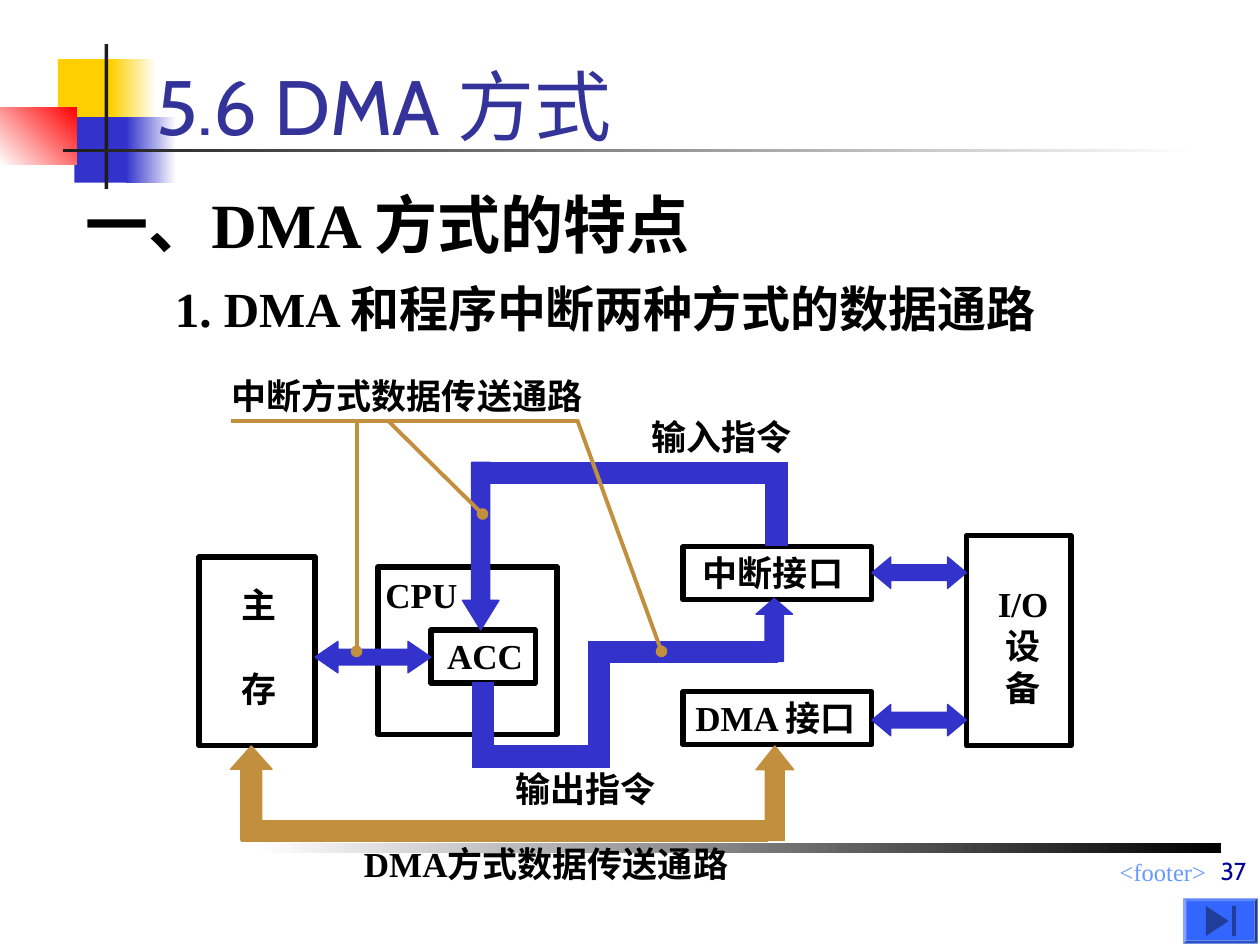
"""Build the slide on the data paths of the DMA and program-interrupt modes."""
from lxml import etree
from pptx import Presentation
from pptx import util as u
from pptx.dml.color import RGBColor
from pptx.enum import shapes, text
from pptx.oxml.ns import qn

PX = 9144
THEME = {
    "black": "000000", "white": "FFFFFF", "ink": "1C1C1C", "yellow": "FFCF01",
    "red": "FF0000", "blue": "3333CC", "gold": "C28F3E", "title": "333399",
    "footer": "6699FF", "number": "000099", "button": "3366FF", "icon": "1F3D99",
    "serif": "Times New Roman", "sans": "Cabin",
    "title_size": 44, "heading_size": 36, "subheading_size": 28,
    "label_size": 20, "footer_size": 14,
}
KIND = shapes.MSO_SHAPE
ALIGN = text.PP_ALIGN
ANCHOR = text.MSO_ANCHOR

deck = Presentation()
deck.slide_width, deck.slide_height = 1000 * PX, 750 * PX
slide = deck.slides.add_slide(deck.slide_layouts[6])


def draw(kind, box, fill=None, line=None, weight=0.75, adjust=(), fade=None):
    part = slide.shapes.add_shape(kind, *[side * PX for side in box])
    part.shadow.inherit = False
    if fade:
        start, end, angle = fade
        part.fill.gradient()
        part.fill.gradient_angle = angle
        for stop, color in zip(part.fill.gradient_stops, (start, end)):
            stop.color.rgb = RGBColor.from_string(THEME[color])
    elif fill:
        part.fill.solid()
        part.fill.fore_color.rgb = RGBColor.from_string(THEME[fill])
    else:
        part.fill.background()
    if line:
        part.line.color.rgb = RGBColor.from_string(THEME[line])
        part.line.width = u.Pt(weight)
    else:
        part.line.fill.background()
    for index, value in enumerate(adjust):
        part.adjustments[index] = value
    return part


def write(words, box, size="label_size", color="black", font="serif", bold=True,
          wrap=False, align=ALIGN.LEFT, anchor=ANCHOR.TOP, gap=0):
    frame = slide.shapes.add_textbox(*[side * PX for side in box]).text_frame
    frame.word_wrap = wrap
    frame.vertical_anchor = anchor
    frame.text = words
    for index, paragraph in enumerate(frame.paragraphs):
        paragraph.alignment = align
        if index and gap:
            paragraph.space_before = u.Pt(gap)
        for run in paragraph.runs:
            run.font.name = THEME[font]
            run.font.size = u.Pt(THEME[size])
            run.font.bold = bold
            run.font.color.rgb = RGBColor.from_string(THEME[color])


for box, fill, fade in [
    ((46, 47, 48, 52), "yellow", None),
    ((88, 47, 36, 52), None, ("white", "yellow", 180)),
    ((59, 93, 46, 52), "blue", None),
    ((100, 93, 40, 52), None, ("white", "blue", 180)),
    ((0, 85, 61, 46), None, ("red", "white", 225)),
    ((83, 35, 3, 115), "ink", None),
    ((50, 118, 900, 3), None, ("white", "ink", 180)),
    ((202, 669, 767, 8), None, ("black", "white", 180)),
]:
    draw(KIND.RECTANGLE, box, fill, fade=fade)

write("<footer>", (392, 675, 575, 26), "footer_size", "footer", bold=False,
      wrap=True, align=ALIGN.RIGHT)
write("5.6 DMA 方式", (114, 0, 850, 125), "title_size", "title", "sans", False,
      wrap=True, anchor=ANCHOR.BOTTOM)
write("一、DMA 方式的特点", (58, 142, 558, 70), "heading_size", wrap=True)
write("1. DMA 和程序中断两种方式的数据通路", (129, 216, 714, 57), "subheading_size")

for unit in [
    (300, 450, 142, 133),
    (158, 442, 92, 150),
    (342, 500, 83, 42),
    (542, 434, 150, 42),
    (542, 549, 150, 42),
    (767, 425, 83, 167),
]:
    draw(KIND.RECTANGLE, unit, line="black", weight=3)

for label, box in [
    ("CPU", (296, 450, 125, 44)),
    ("ACC", (345, 499, 80, 42)),
    ("中断接口", (548, 433, 131, 44)),
    ("DMA 接口", (542, 548, 156, 44)),
]:
    write(label, box)
write("主\n存", (182, 458, 48, 110), gap=24)
write("I/O\n设\n备", (782, 457, 60, 110), align=ALIGN.CENTER)

for kind, color, box, adjust in [
    (KIND.RECTANGLE, "blue", (375, 542, 17, 58), ()),
    (KIND.RECTANGLE, "blue", (375, 592, 100, 17), ()),
    (KIND.RECTANGLE, "blue", (467, 517, 17, 92), ()),
    (KIND.RECTANGLE, "blue", (467, 509, 150, 17), ()),
    (KIND.UP_ARROW, "blue", (600, 475, 29, 50), (0.5, 0.43)),
    (KIND.RECTANGLE, "blue", (608, 375, 17, 58), ()),
    (KIND.RECTANGLE, "blue", (375, 367, 250, 17), ()),
    (KIND.DOWN_ARROW, "blue", (367, 367, 29, 133), (0.5, 0.81)),
    (KIND.LEFT_RIGHT_ARROW, "blue", (250, 509, 92, 25), (0.5, 0.73)),
    (KIND.LEFT_RIGHT_ARROW, "blue", (692, 442, 75, 25), (0.5, 0.6)),
    (KIND.LEFT_RIGHT_ARROW, "blue", (692, 559, 75, 25), (0.5, 0.6)),
    (KIND.UP_ARROW, "gold", (183, 592, 33, 75), (0.5, 0.56)),
    (KIND.RECTANGLE, "gold", (192, 651, 417, 17), ()),
    (KIND.UP_ARROW, "gold", (600, 592, 30, 75), (0.5, 0.63)),
]:
    draw(kind, box, color, color, adjust=adjust)

for x1, y1, x2, y2, dotted in [
    (183, 334, 458, 334, False),
    (283, 334, 283, 517, True),
    (308, 334, 383, 408, True),
    (458, 333, 525, 517, True),
]:
    pointer = slide.shapes.add_connector(
        shapes.MSO_CONNECTOR.STRAIGHT, x1 * PX, y1 * PX, x2 * PX, y2 * PX)
    pointer.line.color.rgb = RGBColor.from_string(THEME["gold"])
    pointer.line.width = u.Pt(2.25)
    properties = pointer.element.spPr
    if dotted:
        etree.SubElement(properties.find(qn("a:ln")), qn("a:tailEnd"), type="oval")
    etree.SubElement(properties, qn("a:effectLst"))

for caption, box in [
    ("中断方式数据传送通路", (174, 292, 298, 44)),
    ("输入指令", (507, 325, 131, 44)),
    ("输出指令", (399, 604, 131, 44)),
    ("DMA方式数据传送通路", (279, 664, 316, 44)),
]:
    write(caption, box)

draw(KIND.BEVEL, (939, 713, 59, 36), "button", adjust=(0.07,))
next_icon = draw(KIND.ISOSCELES_TRIANGLE, (954, 722, 24, 18), "icon")
next_icon.rotation = 90
draw(KIND.RECTANGLE, (978, 719, 3, 24), "icon")
write("37", (521, 658, 478, 50), "footer_size", "number", "sans", False,
      wrap=True, align=ALIGN.RIGHT, anchor=ANCHOR.BOTTOM)

deck.save("out.pptx")
